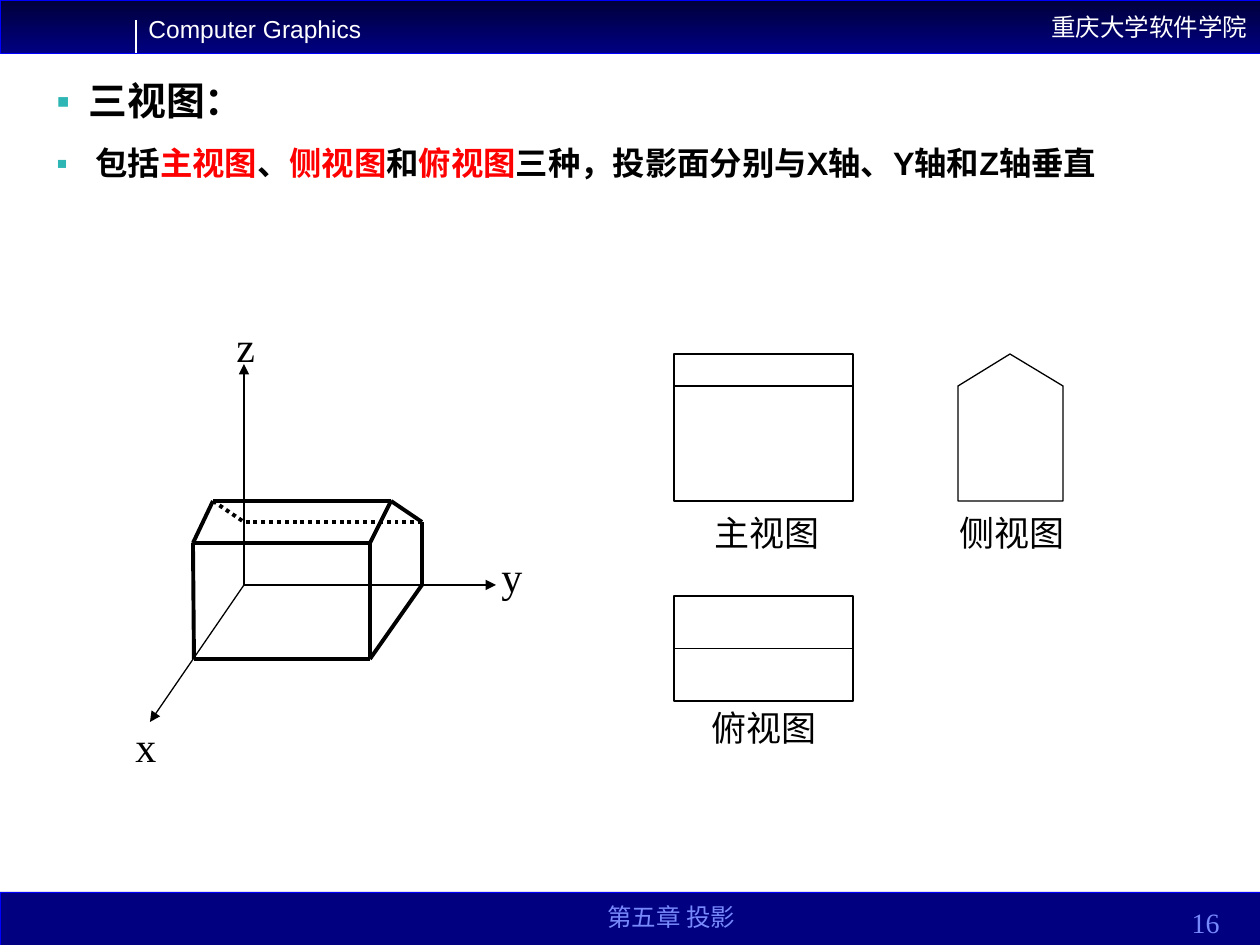
from lxml.etree import SubElement
from pptx import Presentation
from pptx.dml.color import RGBColor
from pptx.enum.dml import MSO_LINE
from pptx.enum.shapes import MSO_CONNECTOR, MSO_SHAPE
from pptx.enum.text import MSO_ANCHOR as ANCHOR, PP_ALIGN as ALIGN
from pptx.oxml.ns import qn
from pptx.util import Pt

PX = 914400 / 126
BLACK = RGBColor(0, 0, 0)
WHITE = RGBColor(255, 255, 255)
RED = RGBColor(255, 0, 0)
NAVY = RGBColor(0, 0, 0x80)
MIDNIGHT = RGBColor(0, 0, 0x3B)
BLUE = RGBColor(0, 0, 255)
PERIWINKLE = RGBColor(0x78, 0x89, 0xFB)
SANS, SERIF, CJK = "Arial", "Times New Roman", "Noto Sans CJK SC"


def emu(*lengths):
    """Turn px lengths into EMU."""
    return [round(length * PX) for length in lengths]


def shift(box, x, y):
    """Return a point given from the top left corner of a box."""
    return box[0] + x, box[1] + y


def style_span(span, size, name, color, bold=False):
    """Set the Latin and East Asian fonts, size and colour of a run."""
    span.font.size = Pt(size)
    span.font.name = name
    span.font.bold = bold
    span.font.color.rgb = color
    SubElement(span.font._element, qn("a:ea")).set("typeface", CJK)


def add_text(page, box, text, size, name, color, align=ALIGN.LEFT, anchor=ANCHOR.TOP):
    """Add a one-line text box."""
    frame = page.shapes.add_textbox(*emu(*box)).text_frame
    frame.word_wrap = True
    frame.vertical_anchor = anchor
    para = frame.paragraphs[0]
    para.text = text
    para.alignment = align
    style_span(para.runs[0], size, name, color)


def add_line(page, start, end, color=BLACK, width=0.75, dash=None, arrow=False):
    """Add a straight line, dashed or with an arrowhead if asked."""
    line = page.shapes.add_connector(MSO_CONNECTOR.STRAIGHT, *emu(*start, *end))
    line.line.color.rgb = color
    line.line.width = Pt(width)
    if dash:
        line.line.dash_style = dash
    if arrow:
        SubElement(line.line._get_or_add_ln(), qn("a:tailEnd")).set("type", "triangle")
    SubElement(line._element.spPr, qn("a:effectLst"))
    return line


def outline(shape, color=BLACK, width=0.75):
    """Leave a shape unfilled, with a plain outline and no shadow."""
    shape.shadow.inherit = False
    shape.fill.background()
    shape.line.color.rgb = color
    shape.line.width = Pt(width)
    return shape


def add_rectangle(page, box, color=BLACK, width=0.75):
    """Add an outlined rectangle."""
    shape = page.shapes.add_shape(MSO_SHAPE.RECTANGLE, *emu(*box))
    return outline(shape, color, width)


def add_header(page, box):
    """Add the gradient bar with course and school names."""
    bar = add_rectangle(page, box, BLUE, 0.25)
    bar.fill.gradient()
    bar.fill.gradient_angle = 270
    for stop, color, position in zip(bar.fill.gradient_stops, (MIDNIGHT, NAVY), (0, 1)):
        stop.color.rgb = color
        stop.position = position
    bar.text_frame.text = "重庆大学软件学院"
    bar.text_frame.vertical_anchor = ANCHOR.MIDDLE
    para = bar.text_frame.paragraphs[0]
    para.alignment = ALIGN.RIGHT
    style_span(para.runs[0], 14, SANS, WHITE)
    add_text(page, (*shift(box, 136, 8), 260, 43), "Computer Graphics", 14, SANS, WHITE)
    add_line(page, shift(box, 136, 20), shift(box, 136, box[3]), WHITE)


def add_footer(page, box):
    """Add the bottom bar with chapter title and page number."""
    bar = add_rectangle(page, box, BLUE, 0.25)
    bar.fill.solid()
    bar.fill.fore_color.rgb = NAVY
    add_text(page, (*shift(box, 472, -2), 399, 48), "第五章 投影", 14, SERIF,
             PERIWINKLE, ALIGN.CENTER, ANCHOR.BOTTOM)
    add_text(page, (*shift(box, 1106, 5), 126, 48), "16", 16, SERIF,
             PERIWINKLE, ALIGN.RIGHT, ANCHOR.BOTTOM)


def add_bullet(para, indent):
    """Give a paragraph a teal square bullet and a hanging indent."""
    properties = para._p.get_or_add_pPr()
    properties.set("marL", str(emu(indent)[0]))
    properties.set("indent", str(emu(-indent)[0]))
    color = SubElement(properties, qn("a:buClr"))
    SubElement(color, qn("a:srgbClr")).set("val", "2DB6B3")
    SubElement(properties, qn("a:buFont")).set("typeface", SANS)
    SubElement(properties, qn("a:buChar")).set("char", "▪")


def add_body(page, box):
    """Add the bulleted heading and explanation."""
    frame = page.shapes.add_textbox(*emu(*box)).text_frame
    frame.word_wrap = True
    explanation = [("包括", BLACK), ("主视图", RED), ("、", BLACK), ("侧视图", RED),
                   ("和", BLACK), ("俯视图", RED),
                   ("三种，投影面分别与X轴、Y轴和Z轴垂直", BLACK)]
    bullets = [([("三视图：", BLACK)], 22.2, CJK, 32, 0, 4.5),
               (explanation, 18.5, SANS, 39, 8.8, 3.7)]
    paras = [frame.paragraphs[0], frame.add_paragraph()]
    for para, (spans, size, name, indent, before, after) in zip(paras, bullets):
        add_bullet(para, indent)
        para.line_spacing = 0.9
        para.space_before = Pt(before)
        para.space_after = Pt(after)
        for text, color in spans:
            span = para.add_run()
            span.text = text
            style_span(span, size, name, color, bold=True)


def add_house(page, box):
    """Add the house solid on its x, y and z axes."""
    origin = (121, 271)
    axes = [("z", (121, 50), (101, 0)), ("y", (373, 271), (366, 230)),
            ("x", (27, 408), (0, 400))]
    for name, tip, corner in axes:
        add_line(page, shift(box, *origin), shift(box, *tip), arrow=True)
        add_text(page, (*shift(box, *corner), 50, 63), name, 24, SERIF, BLACK)
    base_left, base_right, base_back = (71, 345), (247, 345), (299, 271)
    front_left, front_right = (70, 229), (247, 229)
    ridge_left, ridge_right = (90, 187), (268, 187)
    eave_left, eave_right = (121, 208), (299, 208)
    visible = [(base_left, base_right), (base_left, front_left),
               (front_left, front_right), (front_right, base_right),
               (front_left, ridge_left), (front_right, ridge_right),
               (ridge_right, ridge_left), (ridge_right, eave_right),
               (eave_right, base_back), (base_back, base_right)]
    hidden = [(ridge_left, eave_left), (eave_right, eave_left)]
    for edges, dash in ((visible, None), (hidden, MSO_LINE.ROUND_DOT)):
        for start, end in edges:
            add_line(page, shift(box, *start), shift(box, *end), width=2.25, dash=dash)


def add_views(page, box):
    """Add the front, side and top views with their labels."""
    for top, height in ((0, 32), (32, 115)):
        add_rectangle(page, (*shift(box, 0, top), 179, height))
    gable = [(336, 0), (389, 32), (389, 147), (284, 147), (284, 32)]
    corners = [shift(box, *corner) for corner in gable]
    builder = page.shapes.build_freeform(*corners[0], scale=PX)
    builder.add_line_segments(corners[1:], close=True)
    outline(builder.convert_to_shape())
    plan = add_rectangle(page, (*shift(box, 0, 242), 179, 105))
    ridge = add_line(page, shift(box, 0, 294), shift(box, 179, 294))
    ridge.begin_connect(plan, 1)
    ridge.end_connect(plan, 3)
    for label, x, y in (("主视图", 28, 151), ("侧视图", 273, 151), ("俯视图", 25, 346)):
        add_text(page, (*shift(box, x, y), 160, 55), label, 20, SERIF, BLACK)


def main():
    """Build and save the slide."""
    deck = Presentation()
    deck.slide_width, deck.slide_height = emu(1260, 945)
    page = deck.slides.add_slide(deck.slide_layouts[6])
    add_header(page, (0, 0, 1260, 53))
    add_footer(page, (0, 892, 1260, 53))
    add_body(page, (44, 76, 1170, 159))
    add_house(page, (123, 314, 416, 463))
    add_views(page, (674, 354, 431, 402))
    deck.save("out.pptx")


if __name__ == "__main__":
    main()
